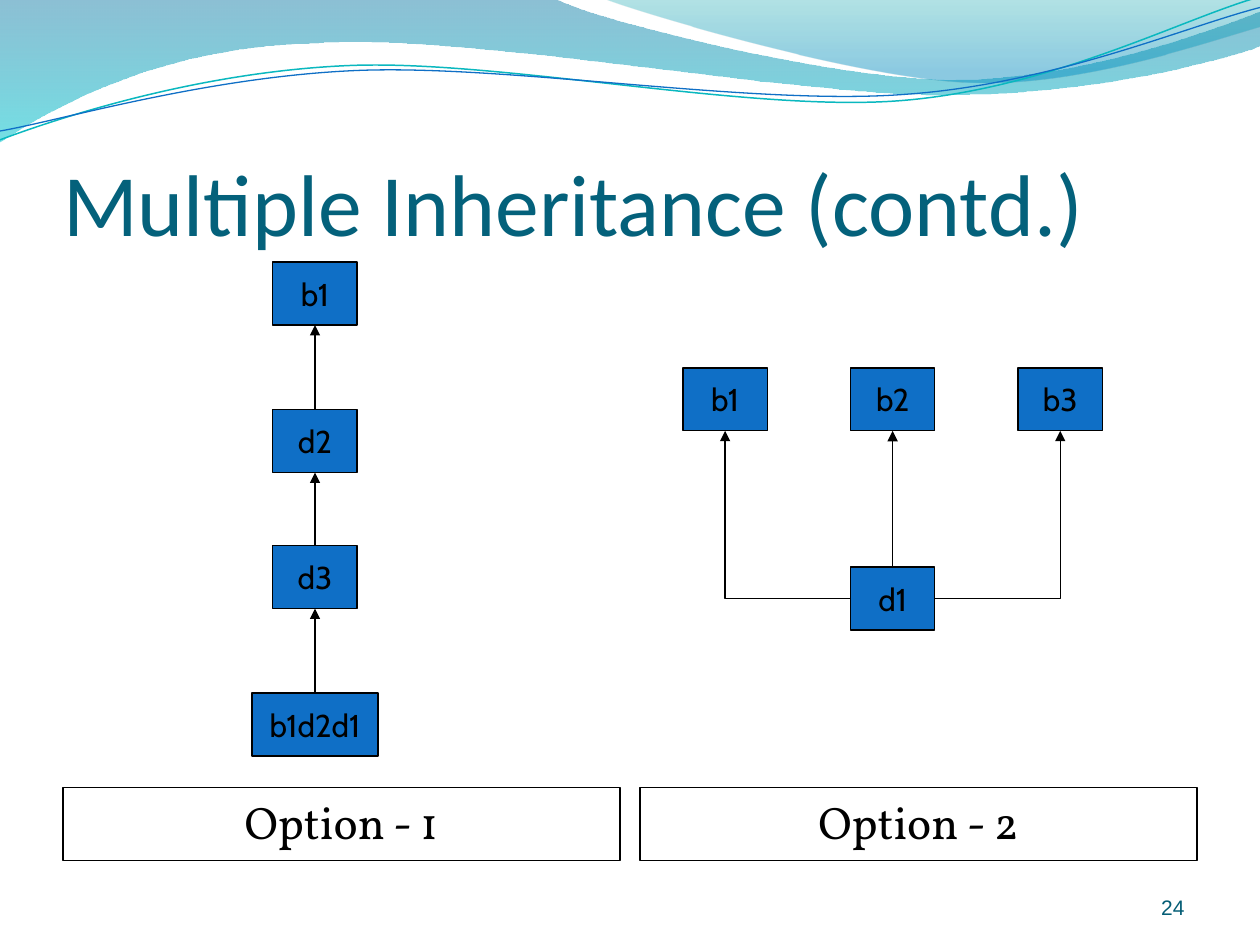
import math
import pptx
import pptx.util
import pptx.dml.color
import pptx.enum.shapes
import pptx.enum.text
import pptx.oxml.ns
import lxml.etree

Inches = pptx.util.Inches
Pt = pptx.util.Pt
qn = pptx.oxml.ns.qn
ALIGN = pptx.enum.text.PP_ALIGN
ANCHOR = pptx.enum.text.MSO_ANCHOR
CONNECTOR = pptx.enum.shapes.MSO_CONNECTOR
RECTANGLE = pptx.enum.shapes.MSO_SHAPE.RECTANGLE

COLORS = {
    "black": "000000", "node": "0F6FC6", "title": "04617B", "number": "045D75",
    "wave_teal": "0AB8BF", "wave_blue": "0F6FC6",
    "band_blue": "0074A1", "band_cyan": "00C6CF",
    "corner_teal": "00A1A9", "corner_blue": "008BBF",
}
NODE_WIDTH, NODE_HEIGHT = 0.67, 0.5
TOP, LEFT, BOTTOM, RIGHT = range(4)
WAVE_TILT = 2.7

BAND = [(0, 0), (4.4, -0.01),
        (4.76, 0.17, 6.64, 0.63, 7.58, 0.63), (8.53, 0.63, 9.58, 0.26, 10, 0.09),
        (10.01, 0.36),
        (9.83, 0.44, 8.7, 0.76, 7.46, 0.75), (6.22, 0.75, 3.82, 0.28, 2.57, 0.34),
        (1.29, 0.36, 0.46, 0.83, -0.01, 1.13), (0, 0)]
CORNER = [(4.79, -0.01), (5.09, 0.11, 6.82, 0.62, 7.69, 0.65),
          (8.56, 0.69, 9.61, 0.32, 10, 0.21), (10, 0), (4.79, -0.01)]
TEAL_WAVE = [(0, 1.11), (0.48, 0.93, 1.58, 0.57, 2.77, 0.52),
             (3.95, 0.47, 5.93, 0.89, 7.13, 0.8), (8.33, 0.71, 9.38, 0.15, 9.98, -0.02)]
BLUE_WAVE = [(0, 1.04), (0.47, 0.96, 1.64, 0.61, 2.83, 0.56),
             (4.03, 0.51, 5.97, 0.84, 7.17, 0.75), (8.36, 0.67, 9.41, 0.21, 10, 0.06)]


def rgb(name):
    return pptx.dml.color.RGBColor.from_string(COLORS[name])


def set_line(shape, color="black", width=0.75):
    shape.line.color.rgb = rgb(color)
    shape.line.width = Pt(width)


def add_text(frame, text, font, size, color, align, anchor):
    frame.vertical_anchor = anchor
    para = frame.paragraphs[0]
    para.alignment = align
    span = para.add_run()
    span.text = text
    span.font.name = font
    span.font.size = Pt(size)
    span.font.color.rgb = rgb(color)
    return para


def turn(point, center, degrees):
    sine, cosine = math.sin(math.radians(degrees)), math.cos(math.radians(degrees))
    x, y = point[0] - center[0], point[1] - center[1]
    return center[0] + x * cosine - y * sine, center[1] + x * sine + y * cosine


def add_outline(page, left, top, segments, close, center=(0, 0), tilt=0):
    points = [turn(segment[i:i + 2], center, tilt)
              for segment in segments for i in range(0, len(segment), 2)]
    points = [(Inches(x), Inches(y)) for x, y in points]
    builder = page.shapes.build_freeform(*points[0], scale=1.0)
    builder.add_line_segments(points[1:], close=close)
    shape = builder.convert_to_shape(Inches(left), Inches(top))
    shape.shadow.inherit = False
    shape.rotation = -tilt % 360
    steps = iter(list(shape._element.iter(qn("a:lnTo"))))
    for segment in segments[1:]:
        step = next(steps)
        if len(segment) == 6:
            step.tag = qn("a:cubicBezTo")
            for _ in range(2):
                extra = next(steps)
                step.append(extra[0])
                extra.getparent().remove(extra)
    return shape


def add_header(page, left, top):
    bands = [(BAND, [("band_blue", 0, 45), ("band_cyan", 1, 55)]),
             (CORNER, [("corner_teal", 0, 30), ("corner_blue", 0.8, 45)])]
    for segments, stops in bands:
        band = add_outline(page, left, top, segments, True)
        band.line.fill.background()
        band.fill.gradient()
        band.fill.gradient_angle = 270
        for stop, (color, position, _) in zip(band.fill.gradient_stops, stops):
            stop.color.rgb = rgb(color)
            stop.position = position
        for paint, (_, _, opacity) in zip(band._element.iter(qn("a:srgbClr")), stops):
            lxml.etree.SubElement(paint, qn("a:alpha")).set("val", str(opacity * 1000))
    waves = [(TEAL_WAVE, "wave_teal", 0.85, (4.99, 0.58)),
             (BLUE_WAVE, "wave_blue", 0.75, (5, 0.59))]
    for segments, color, width, center in waves:
        wave = add_outline(page, left, top, segments, False, center, WAVE_TILT)
        wave.fill.background()
        set_line(wave, color, width)


def add_title(page, left, top, width, height):
    title = page.shapes.title
    title.left, title.top = Inches(left), Inches(top)
    title.width, title.height = Inches(width), Inches(height)
    frame = title.text_frame
    frame.margin_left = frame.margin_right = frame.margin_bottom = 0
    frame.margin_top = Inches(0.05)
    add_text(frame, "Multiple Inheritance (contd.)", "Calibri", 50, "title", ALIGN.LEFT, ANCHOR.BOTTOM)


def add_rectangle(page, left, top, width, height):
    box = page.shapes.add_shape(RECTANGLE, Inches(left), Inches(top), Inches(width), Inches(height))
    box.shadow.inherit = False
    set_line(box)
    return box


def add_node(page, text, center, top, width=NODE_WIDTH):
    node = add_rectangle(page, center - width / 2, top, width, NODE_HEIGHT)
    node.fill.solid()
    node.fill.fore_color.rgb = rgb("node")
    node.text_frame.word_wrap = False
    add_text(node.text_frame, text, "Cabin", 18, "black", ALIGN.CENTER, ANCHOR.MIDDLE)
    return node


def get_site(node, side):
    across, down = {TOP: (1, 0), LEFT: (0, 1), BOTTOM: (1, 2), RIGHT: (2, 1)}[side]
    return node.left + node.width * across // 2, node.top + node.height * down // 2


def add_arrow(page, child, parent, side=TOP):
    kind = CONNECTOR.STRAIGHT if side == TOP else CONNECTOR.ELBOW
    arrow = page.shapes.add_connector(kind, *get_site(child, side), *get_site(parent, BOTTOM))
    arrow.begin_connect(child, side)
    arrow.end_connect(parent, BOTTOM)
    set_line(arrow)
    properties = arrow._element.spPr
    if side != TOP:
        properties.find(qn("a:prstGeom")).set("prst", "bentConnector2")
    tail = lxml.etree.SubElement(properties.find(qn("a:ln")), qn("a:tailEnd"))
    tail.set("type", "triangle")
    lxml.etree.SubElement(properties, qn("a:effectLst"))


def add_chain(page, left, top):
    center = left + 0.5
    rows = [("b1", 0, NODE_WIDTH), ("d2", 1.17, NODE_WIDTH),
            ("d3", 2.25, NODE_WIDTH), ("b1d2d1", 3.42, 1)]
    nodes = [add_node(page, text, center, top + offset, width) for text, offset, width in rows]
    for parent, child in zip(nodes, nodes[1:]):
        add_arrow(page, child, parent)


def add_fan(page, left, top):
    centers = [left + NODE_WIDTH / 2 + 1.33 * column for column in range(3)]
    parents = [add_node(page, text, center, top) for text, center in zip(("b1", "b2", "b3"), centers)]
    child = add_node(page, "d1", centers[1], top + 1.58)
    for parent, side in zip(parents, (LEFT, TOP, RIGHT)):
        add_arrow(page, child, parent, side)


def add_caption(page, text, left, top, width, height):
    caption = add_rectangle(page, left, top, width, height)
    caption.fill.background()
    caption.text_frame.word_wrap = True
    para = add_text(caption.text_frame, text, "Vollkorn", 26, "black", ALIGN.CENTER, ANCHOR.TOP)
    properties = para._p.get_or_add_pPr()
    properties.set("marL", str(Inches(0.3)))
    properties.set("indent", str(-Inches(0.3)))


def add_page_number(page, left, top, width, height):
    box = page.shapes.add_textbox(Inches(left), Inches(top), Inches(width), Inches(height))
    box.text_frame.word_wrap = True
    add_text(box.text_frame, "24", "Arial", 12, "number", ALIGN.RIGHT, ANCHOR.BOTTOM)


deck = pptx.Presentation()
deck.slide_width, deck.slide_height = Inches(10), Inches(7.5)
page = deck.slides.add_slide(deck.slide_layouts[5])
add_header(page, 0, 0)
add_title(page, 0.5, 0.77, 9, 1.25)
add_chain(page, 2, 2.08)
add_fan(page, 5.42, 2.92)
for index in range(2):
    add_caption(page, f"Option - {index + 1}", 0.5 + 4.58 * index, 6.25, 4.42, 0.58)
add_page_number(page, 8.67, 6.95, 0.83, 0.4)
deck.save("out.pptx")
